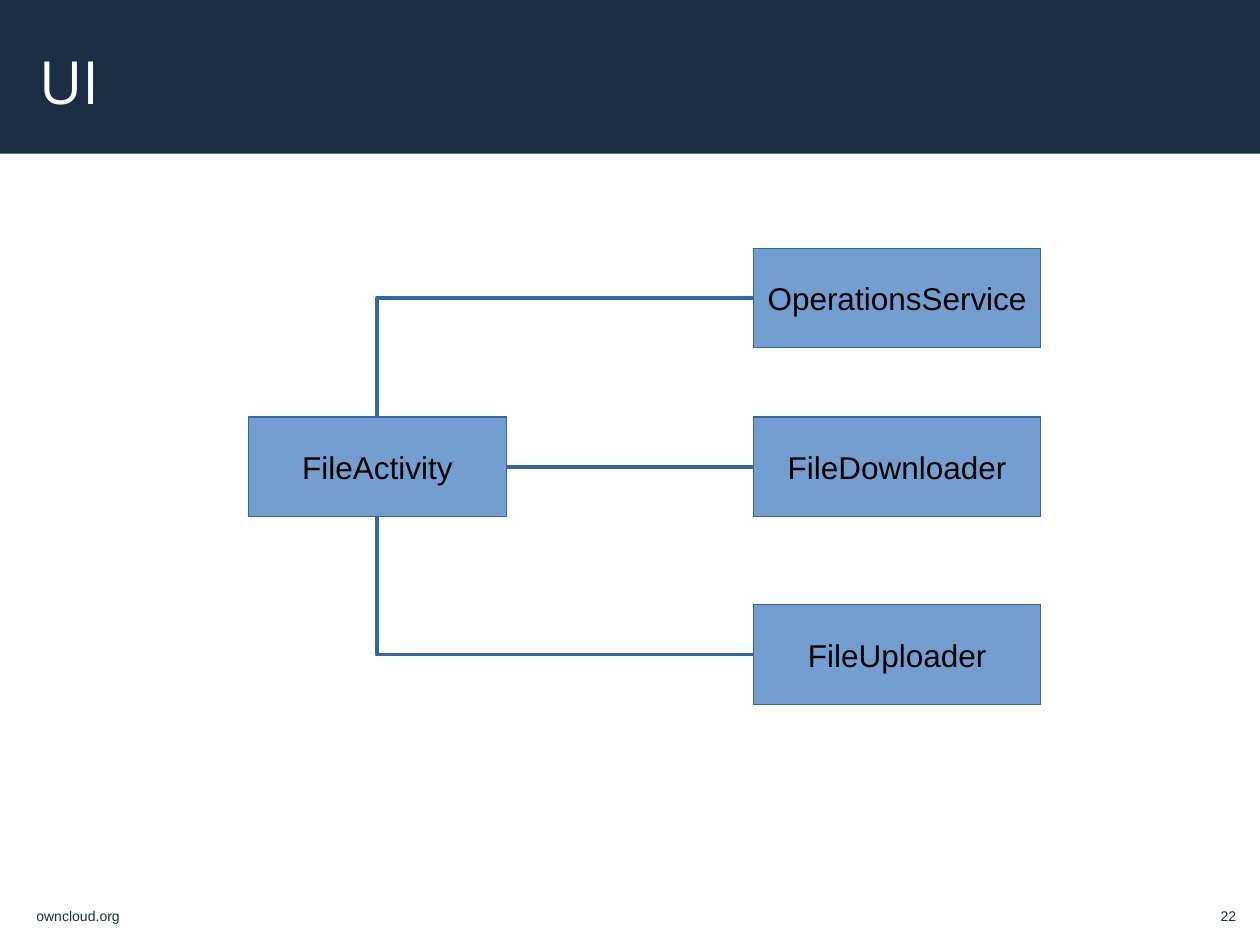
from dataclasses import dataclass

from lxml import etree
from pptx import Presentation
from pptx.dml.color import RGBColor
from pptx.enum.shapes import MSO_CONNECTOR, MSO_SHAPE
from pptx.enum.text import MSO_ANCHOR, PP_ALIGN
from pptx.oxml.ns import qn
from pptx.util import Inches, Pt

RECTANGLE = MSO_SHAPE.RECTANGLE
ELBOW, STRAIGHT = MSO_CONNECTOR.ELBOW, MSO_CONNECTOR.STRAIGHT
LEFT, CENTER, RIGHT = PP_ALIGN.LEFT, PP_ALIGN.CENTER, PP_ALIGN.RIGHT
MIDDLE = MSO_ANCHOR.MIDDLE
TOP_SIDE, LEFT_SIDE, BOTTOM_SIDE, RIGHT_SIDE = range(4)

COLORS = {"navy": "1D2D44", "white": "FFFFFF", "black": "000000",
          "box": "729FCF", "line": "3465A4"}
BOX_HEIGHT = 0.79


@dataclass
class ClassBox:
    name: str
    left: float
    top: float
    width: float
    activity_side: int = RIGHT_SIDE  # side of the activity box it is joined to


ACTIVITY = ClassBox("FileActivity", 1.97, 3.31, 2.05)
HELPERS = [
    ClassBox("OperationsService", 5.98, 1.97, 2.28, TOP_SIDE),
    ClassBox("FileDownloader", 5.98, 3.31, 2.28, RIGHT_SIDE),
    ClassBox("FileUploader", 5.98, 4.8, 2.28, BOTTOM_SIDE),
]


def rgb(name: str) -> RGBColor:
    return RGBColor.from_string(COLORS[name])


def write(frame, text: str, size: float, color: str, align, font: str = "Arial") -> None:
    para = frame.paragraphs[0]
    para.alignment = align
    span = para.add_run()
    span.text = text
    span.font.size = Pt(size)
    span.font.name = font
    span.font.color.rgb = rgb(color)


def add_rectangle(page, left: float, top: float, width: float, height: float, fill: str):
    shape = page.shapes.add_shape(RECTANGLE, Inches(left), Inches(top),
                                  Inches(width), Inches(height))
    shape.shadow.inherit = False
    shape.fill.solid()
    shape.fill.fore_color.rgb = rgb(fill)
    shape.line.fill.background()
    return shape


def add_class_box(page, box: ClassBox):
    shape = add_rectangle(page, box.left, box.top, box.width, BOX_HEIGHT, "box")
    shape.line.color.rgb = rgb("line")
    shape.line.width = Pt(0)
    shape.text_frame.word_wrap = True
    shape.text_frame.vertical_anchor = MIDDLE
    write(shape.text_frame, box.name, 18, "black", CENTER)
    return shape


def join(page, helper, activity, side: int) -> None:
    straight = side == RIGHT_SIDE
    line = page.shapes.add_connector(STRAIGHT if straight else ELBOW, 0, 0, 0, 0)
    line.begin_connect(helper, LEFT_SIDE)
    line.end_connect(activity, side)
    line.line.color.rgb = rgb("line")
    line.line.width = Pt(0)
    properties = line._element.spPr
    if not straight:  # a single corner: across, then up or down
        properties.find(qn("a:prstGeom")).set("prst", "bentConnector2")
    etree.SubElement(properties, qn("a:effectLst"))


def add_footer(page, text: str, left: float, width: float, align) -> None:
    box = page.shapes.add_textbox(Inches(left), Inches(7.15), Inches(width), Inches(0.25))
    box.text_frame.word_wrap = True
    write(box.text_frame, text, 8, "navy", align)


def main() -> None:
    deck = Presentation()
    deck.slide_width, deck.slide_height = Inches(10), Inches(7.5)
    page = deck.slides.add_slide(deck.slide_layouts[5])

    # Header band, placed behind the title
    band = add_rectangle(page, 0, 0, 10, 1.22, "navy")
    page.shapes._spTree.insert(2, band._element)

    # Title
    title = page.shapes.title
    title.left, title.top = Inches(0.31), Inches(0.04)
    title.width, title.height = Inches(8.08), Inches(1.2)
    frame = title.text_frame
    frame.margin_left = frame.margin_right = frame.margin_top = frame.margin_bottom = 0
    frame.vertical_anchor = MIDDLE
    write(frame, "UI", 34, "white", LEFT, "Open Sans")

    # Class diagram
    activity = add_class_box(page, ACTIVITY)
    for helper in HELPERS:
        join(page, add_class_box(page, helper), activity, helper.activity_side)

    # Footer
    add_footer(page, "owncloud.org", 0.19, 1.8, LEFT)
    add_footer(page, "22", 9.08, 0.83, RIGHT)

    deck.save("out.pptx")


if __name__ == "__main__":
    main()
